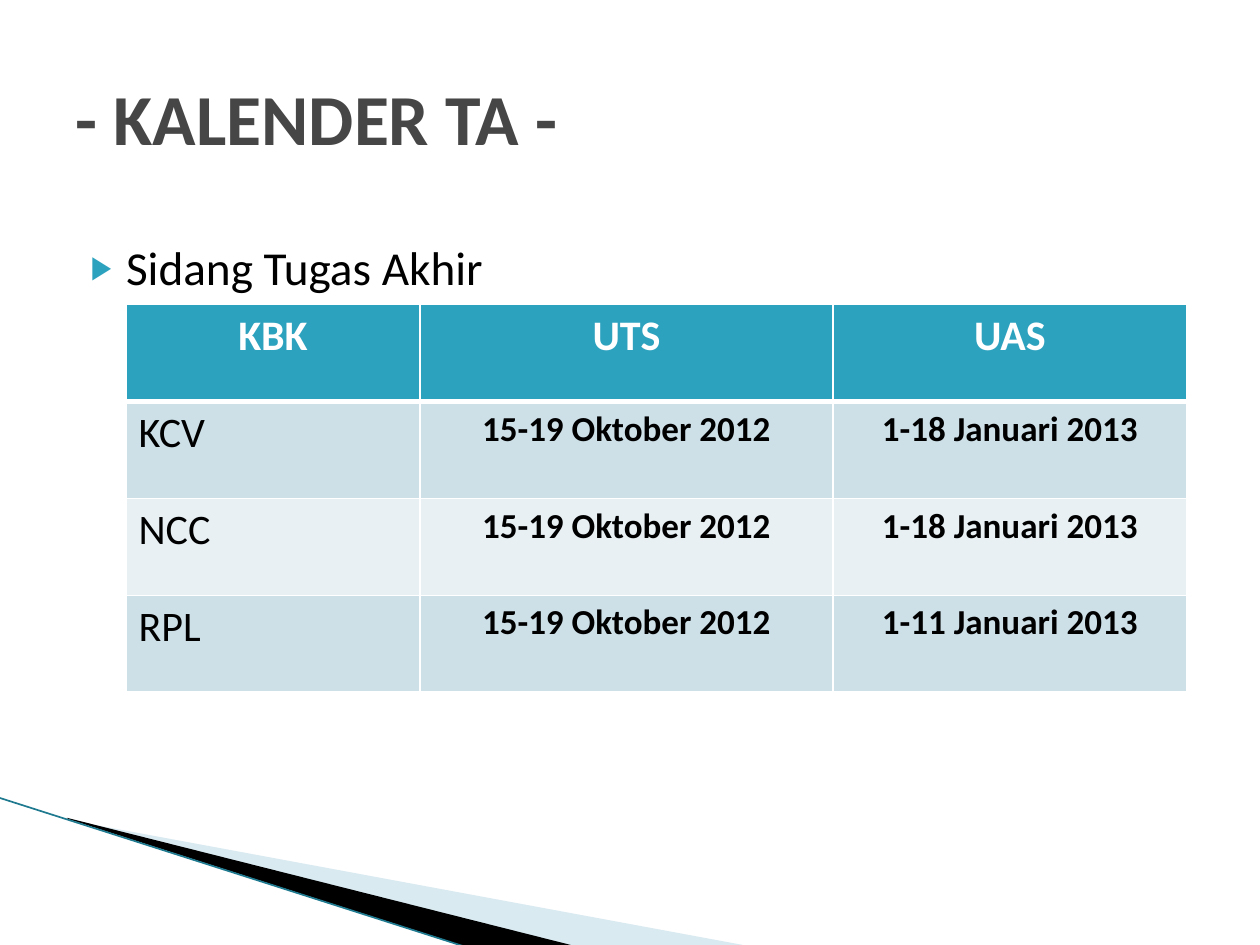
from lxml import etree
from pptx import Presentation
from pptx.dml.color import RGBColor
from pptx.enum import shapes, text
from pptx.oxml import ns
from pptx.util import Pt

# Content
TITLE = "- KALENDER TA -"
BULLET = "Sidang Tugas Akhir"
SCHEDULE = [
    ("KBK", "UTS", "UAS"),
    ("KCV", "15-19 Oktober 2012", "1-18 Januari 2013"),
    ("NCC", "15-19 Oktober 2012", "1-18 Januari 2013"),
    ("RPL", "15-19 Oktober 2012", "1-11 Januari 2013"),
]

THEME = {
    "font": "Calibri", "title_size": 41, "bullet_size": 27,
    "label_size": 24, "date_size": 20,
    "title": "464646", "ink": "000000", "white": "FFFFFF", "accent": "2DA2BF",
    "bands": ("CDE0E8", "E8F0F4"), "wedge": "A0CBDC", "edge": "1F7A90",
}

# Layout, in points
TITLE_BOX = (36, 21.6, 648, 90)
BODY_BOX = (36, 116.6, 648, 356.4)
TABLE_AT = (72, 174)
COLUMNS = (168, 236, 202.3)
ROW_HEIGHT = 55.4
LIGHT_WEDGE = [(39.6, 468.7), (428.4, 540.7), (328.3, 540.7), (39.6, 468)]
LIGHT_FRAME = (56.2, 393.8, 299.5, 113.8)
DARK_WEDGE = [(38.2, 467.3), (329, 540.7), (267.8, 541.4), (38.9, 468)]
DARK_FRAME = (-4.3, 455.8, 299.5, 66.2)
EDGE_LINE = (-0.7, 455.8, 267.1, 541.4)


def color(value):
    return RGBColor.from_string(value)


def add_span(para, words, size, ink, bold=False):
    span = para.add_run()
    span.text = words
    span.font.name = THEME["font"]
    span.font.size = Pt(size)
    span.font.bold = bold
    span.font.color.rgb = color(ink)


def add_xml(parent, tag, **attributes):
    return etree.SubElement(parent, ns.qn(tag), attributes)


def place(shape, area):
    shape.left, shape.top, shape.width, shape.height = map(Pt, area)


def place_text(shape, area):
    place(shape, area)
    shape.text_frame.auto_size = text.MSO_AUTO_SIZE.NONE


def reframe(wedge, frame):
    """Give the wedge a new frame while its outline stays where it is."""
    old_left, old_top = wedge.left, wedge.top
    place(wedge, frame)
    outline = wedge.element.find(".//" + ns.qn("a:path"))
    outline.set("w", str(wedge.width))
    outline.set("h", str(wedge.height))
    for point in outline.iter(ns.qn("a:pt")):
        point.set("x", str(int(point.get("x")) + old_left - wedge.left))
        point.set("y", str(int(point.get("y")) + old_top - wedge.top))


def add_wedge(page, points, frame, fill, opacity=100):
    start, *rest = [(Pt(x), Pt(y)) for x, y in points]
    builder = page.shapes.build_freeform(*start)
    builder.add_line_segments(rest)
    wedge = builder.convert_to_shape()
    reframe(wedge, frame)
    wedge.shadow.inherit = False
    wedge.line.fill.background()
    wedge.fill.solid()
    wedge.fill.fore_color.rgb = color(fill)
    if opacity < 100:
        tint = wedge.element.find(".//" + ns.qn("a:srgbClr"))
        add_xml(tint, "a:alpha", val=str(opacity * 1000))


def add_edge(page):
    edge = page.shapes.add_connector(
        shapes.MSO_CONNECTOR.STRAIGHT, *map(Pt, EDGE_LINE))
    edge.line.color.rgb = color(THEME["edge"])
    edge.line.width = Pt(0.95)
    add_xml(edge.element.spPr, "a:effectLst")


def fill_body(body):
    place_text(body, BODY_BOX)
    para = body.text_frame.paragraphs[0]
    para.line_spacing = 1.5
    para.space_before = Pt(4)
    add_span(para, BULLET, THEME["bullet_size"], THEME["ink"])
    props = para._p.get_or_add_pPr()
    props.set("marL", str(Pt(28.8)))
    props.set("indent", str(Pt(-20.16)))
    add_xml(add_xml(props, "a:buClr"), "a:srgbClr", val=THEME["accent"])
    add_xml(props, "a:buSzPct", val="68000")
    add_xml(props, "a:buChar", char="▶")


def fill_title(title):
    place_text(title, TITLE_BOX)
    title.text_frame.vertical_anchor = text.MSO_ANCHOR.MIDDLE
    para = title.text_frame.paragraphs[0]
    para.alignment = text.PP_ALIGN.LEFT
    add_span(para, TITLE, THEME["title_size"], THEME["title"], True)


def set_borders(cell, top, bottom):
    props = cell._tc.get_or_add_tcPr()
    widths = {"a:lnL": 1, "a:lnR": 1, "a:lnT": top, "a:lnB": bottom}
    for position, (side, width) in enumerate(widths.items()):
        border = add_xml(props, side, w=str(Pt(width)))
        add_xml(add_xml(border, "a:solidFill"), "a:srgbClr", val=THEME["white"])
        props.insert(position, border)


def add_schedule(page):
    size = (sum(COLUMNS), ROW_HEIGHT * len(SCHEDULE))
    table = page.shapes.add_table(
        len(SCHEDULE), len(COLUMNS), *map(Pt, TABLE_AT + size)).table
    for column, width in zip(table.columns, COLUMNS):
        column.width = Pt(width)
    for r, row in enumerate(SCHEDULE):
        table.rows[r].height = Pt(ROW_HEIGHT)
        header = r == 0
        for c, words in enumerate(row):
            cell = table.cell(r, c)
            cell.fill.solid()
            cell.fill.fore_color.rgb = color(
                THEME["accent"] if header else THEME["bands"][(r - 1) % 2])
            # Row labels align left; headings and dates are bold and centred
            label = c == 0 and not header
            para = cell.text_frame.paragraphs[0]
            para.alignment = text.PP_ALIGN.LEFT if label else text.PP_ALIGN.CENTER
            add_span(para, words,
                     THEME["label_size" if header or label else "date_size"],
                     THEME["white" if header else "ink"], not label)
            # The heavy rule under the header is shared with the first row
            set_borders(cell, 3 if r == 1 else 1, 3 if header else 1)


def main():
    deck = Presentation()
    deck.slide_width, deck.slide_height = Pt(720), Pt(540)
    page = deck.slides.add_slide(deck.slide_layouts[1])
    title, body = page.shapes.title, page.placeholders[1]

    # Corner decoration, behind the text
    add_wedge(page, LIGHT_WEDGE, LIGHT_FRAME, THEME["wedge"], 40)
    add_wedge(page, DARK_WEDGE, DARK_FRAME, THEME["ink"])
    add_edge(page)
    tree = title.element.getparent()
    for holder in (body, title):
        tree.append(holder.element)

    # Text and table
    fill_body(body)
    fill_title(title)
    add_schedule(page)
    deck.save("out.pptx")


if __name__ == "__main__":
    main()
